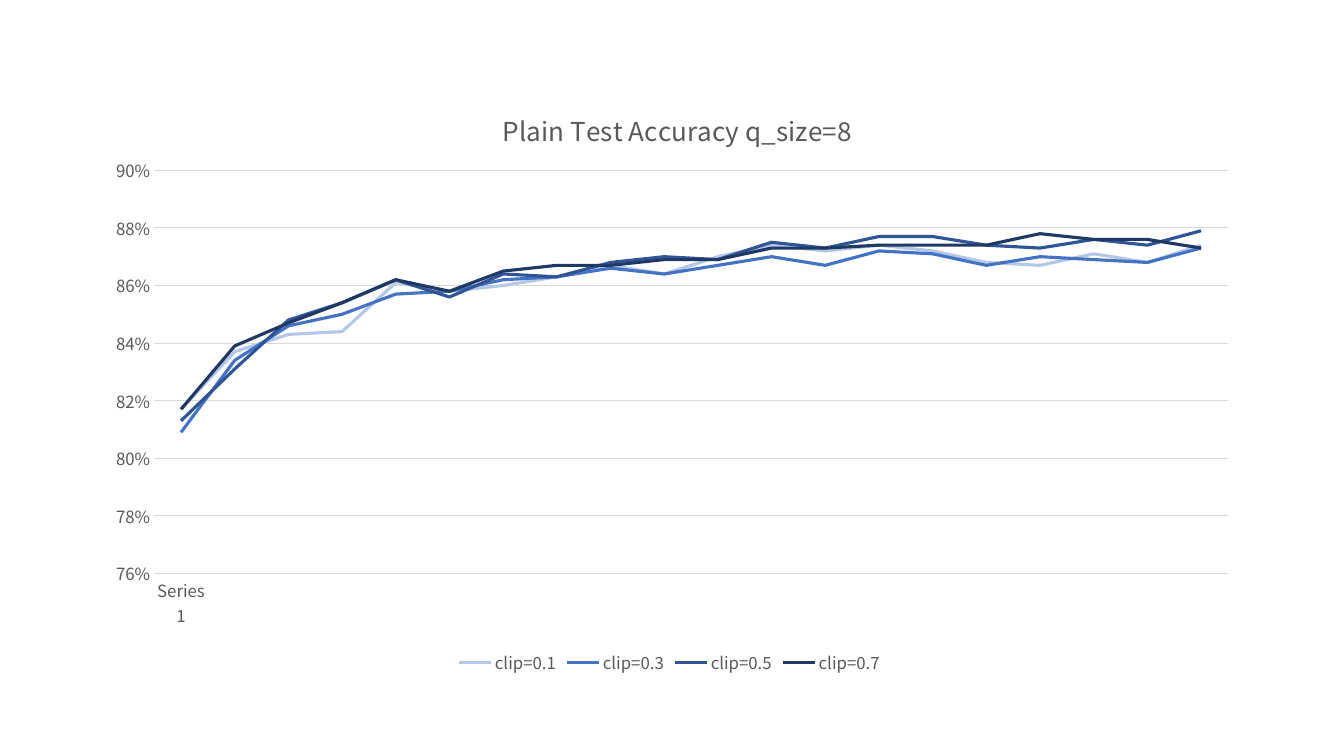
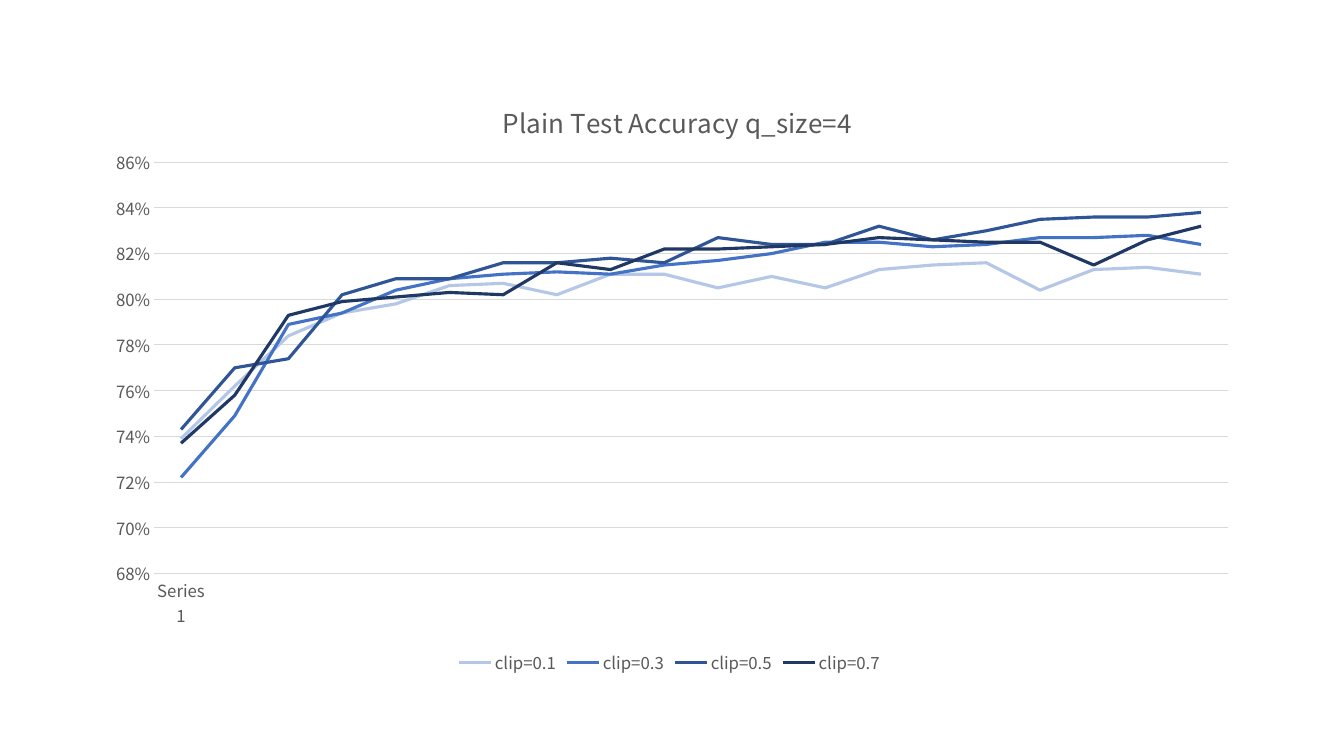
from lxml import etree
from pptx import Presentation
from pptx.chart.data import CategoryChartData
from pptx.dml.color import RGBColor
from pptx.enum.chart import XL_CHART_TYPE, XL_LEGEND_POSITION, XL_TICK_MARK
from pptx.util import Inches, Pt

LINE_CHART = XL_CHART_TYPE.LINE
LEGEND_BOTTOM = XL_LEGEND_POSITION.BOTTOM
NO_TICKS = XL_TICK_MARK.NONE
CHART_NS = "http://schemas.openxmlformats.org/drawingml/2006/chart"

FONT = "Noto Sans CJK KR"
COLORS = {
    "text": "595959",
    "rule": "D9D9D9",
    "clip=0.1": "B4C7E7",
    "clip=0.3": "4472C4",
    "clip=0.5": "2F5597",
    "clip=0.7": "203864",
}
EPOCHS = 20
CATEGORIES = ["Series 1"] + [""] * (EPOCHS - 1)

ACCURACY_Q8 = {
    "clip=0.1": [0.817, 0.837, 0.843, 0.844, 0.861, 0.858, 0.860, 0.863, 0.867, 0.864,
                 0.870, 0.874, 0.872, 0.874, 0.872, 0.868, 0.867, 0.871, 0.868, 0.874],
    "clip=0.3": [0.809, 0.834, 0.846, 0.850, 0.857, 0.858, 0.862, 0.863, 0.866, 0.864,
                 0.867, 0.870, 0.867, 0.872, 0.871, 0.867, 0.870, 0.869, 0.868, 0.873],
    "clip=0.5": [0.813, 0.831, 0.848, 0.854, 0.862, 0.856, 0.864, 0.863, 0.868, 0.870,
                 0.869, 0.875, 0.873, 0.877, 0.877, 0.874, 0.873, 0.876, 0.874, 0.879],
    "clip=0.7": [0.817, 0.839, 0.847, 0.854, 0.862, 0.858, 0.865, 0.867, 0.867, 0.869,
                 0.869, 0.873, 0.873, 0.874, 0.874, 0.874, 0.878, 0.876, 0.876, 0.873],
}
ACCURACY_Q4 = {
    "clip=0.1": [0.739, 0.762, 0.784, 0.794, 0.798, 0.806, 0.807, 0.802, 0.811, 0.811,
                 0.805, 0.810, 0.805, 0.813, 0.815, 0.816, 0.804, 0.813, 0.814, 0.811],
    "clip=0.3": [0.722, 0.749, 0.789, 0.794, 0.804, 0.809, 0.811, 0.812, 0.811, 0.815,
                 0.817, 0.820, 0.825, 0.825, 0.823, 0.824, 0.827, 0.827, 0.828, 0.824],
    "clip=0.5": [0.743, 0.770, 0.774, 0.802, 0.809, 0.809, 0.816, 0.816, 0.818, 0.816,
                 0.827, 0.824, 0.824, 0.832, 0.826, 0.830, 0.835, 0.836, 0.836, 0.838],
    "clip=0.7": [0.737, 0.758, 0.793, 0.799, 0.801, 0.803, 0.802, 0.816, 0.813, 0.822,
                 0.822, 0.823, 0.824, 0.827, 0.826, 0.825, 0.825, 0.815, 0.826, 0.832],
}


def color(name):
    return RGBColor.from_string(COLORS[name])


def style_font(font, size=12, fill="text"):
    font.name = FONT
    font.size = Pt(size)
    font.bold = False
    font.color.rgb = color(fill)


def write_text(frame, text, **style):
    span = frame.paragraphs[0].add_run()
    span.text = text
    style_font(span.font, **style)


def style_line(line, fill, width):
    line.color.rgb = color(fill)
    line.width = Pt(width)


def place_part(element, index, inner=False, **fractions):
    """Give a chart part a manual layout, in fractions of the chart frame."""
    for layout in element.findall(f"{{{CHART_NS}}}layout"):
        element.remove(layout)
    layout = etree.Element(f"{{{CHART_NS}}}layout")
    manual = etree.SubElement(layout, f"{{{CHART_NS}}}manualLayout")
    settings = {"layoutTarget": "inner"} if inner else {}
    settings.update(xMode="edge", yMode="edge", **fractions)
    for tag, value in settings.items():
        etree.SubElement(manual, f"{{{CHART_NS}}}{tag}").set("val", str(value))
    element.insert(index, layout)


class AccuracyDeck:
    LEFT, WIDTH, BOTTOM = 0.92, 11.5, 6.75
    PLOT_LEFT, PLOT_WIDTH, PLOT_BOTTOM = 1.53, 10.65, 5.69
    TITLE_LEFT, TITLE_DROP = 4.94, 0.23
    LEGEND_LEFT, LEGEND_TOP = 4.5, 6.44
    PLOT_DROP = 0.9

    def __init__(self):
        self.deck = Presentation()
        self.deck.slide_width = Inches(13.33)
        self.deck.slide_height = Inches(7.5)
        self.page = None

    def add_page(self):
        self.page = self.deck.slides.add_slide(self.deck.slide_layouts[6])

    def add_line_chart(self, title, accuracy, top, low, high):
        data = CategoryChartData(number_format="0%")
        data.categories = CATEGORIES
        for name, values in accuracy.items():
            data.add_series(name, values)
        height = self.BOTTOM - top
        chart = self.page.shapes.add_chart(
            LINE_CHART, Inches(self.LEFT), Inches(top),
            Inches(self.WIDTH), Inches(height), data).chart
        style_font(chart.font)
        self.style_series(chart)
        self.style_axes(chart, low, high)
        self.add_title(chart, title)
        self.add_legend(chart)
        self.place_parts(chart, top, height)

    def style_series(self, chart):
        plot = chart.plots[0]
        plot.vary_by_categories = False
        for series in plot.series:
            series.smooth = False
            style_line(series.format.line, series.name, 2.25)

    def style_axes(self, chart, low, high):
        for axis in (chart.category_axis, chart.value_axis):
            axis.major_tick_mark = axis.minor_tick_mark = NO_TICKS
            style_font(axis.tick_labels.font)
            axis._element.txPr.bodyPr.set("rot", "-60000000")
        style_line(chart.category_axis.format.line, "rule", 0.75)
        values = chart.value_axis
        values.minimum_scale, values.maximum_scale = low, high
        values.major_unit = 0.02
        values.tick_labels.number_format = "0%"
        values.tick_labels.number_format_is_linked = False
        values.format.line.fill.background()
        style_line(values.major_gridlines.format.line, "rule", 0.75)

    def add_title(self, chart, title):
        chart.has_title = True
        write_text(chart.chart_title.text_frame, title, size=18.6)
        chart.chart_title.include_in_layout = False

    def add_legend(self, chart):
        chart.has_legend = True
        chart.legend.position = LEGEND_BOTTOM
        chart.legend.include_in_layout = False
        style_font(chart.legend.font)

    def place_parts(self, chart, top, height):
        def across(left):
            return round((left - self.LEFT) / self.WIDTH, 4)

        def down(part_top):
            return round((part_top - top) / height, 4)

        plot_top = top + self.PLOT_DROP
        place_part(chart.chart_title._element, 1,
                   x=across(self.TITLE_LEFT), y=down(top + self.TITLE_DROP))
        place_part(chart.legend._element, 1,
                   x=across(self.LEGEND_LEFT), y=down(self.LEGEND_TOP))
        place_part(chart._chartSpace.chart.plotArea, 0, inner=True,
                   x=across(self.PLOT_LEFT), y=down(plot_top),
                   w=round(self.PLOT_WIDTH / self.WIDTH, 4),
                   h=round((self.PLOT_BOTTOM - plot_top) / height, 4))

    def save(self):
        self.deck.save("out.pptx")


def main():
    deck = AccuracyDeck()
    for q_size, accuracy, top, low, high in (
            (8, ACCURACY_Q8, 0.79, 0.76, 0.90),
            (4, ACCURACY_Q4, 0.71, 0.68, 0.86)):
        deck.add_page()
        deck.add_line_chart(f"Plain Test Accuracy q_size={q_size}", accuracy, top, low, high)
    deck.save()


if __name__ == "__main__":
    main()
